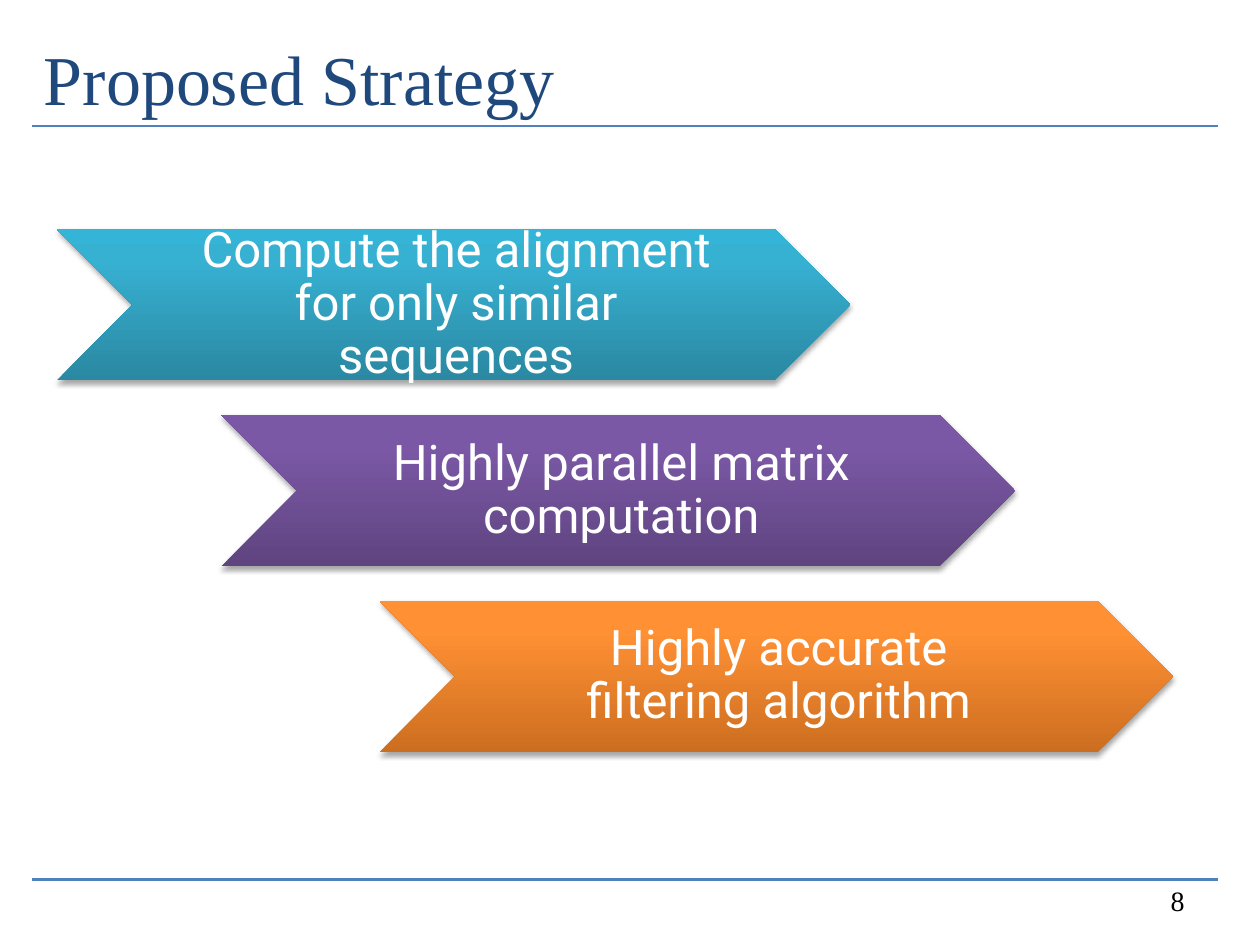
from copy import deepcopy

from pptx import Presentation
from pptx.dml.color import RGBColor
from pptx.enum.shapes import MSO_CONNECTOR, MSO_SHAPE
from pptx.enum.text import MSO_ANCHOR, PP_ALIGN
from pptx.oxml import parse_xml
from pptx.oxml.ns import nsdecls, qn
from pptx.util import Pt

LINE = MSO_CONNECTOR.STRAIGHT
ARROW = MSO_SHAPE.CHEVRON
TOP, MID, LOW = MSO_ANCHOR.TOP, MSO_ANCHOR.MIDDLE, MSO_ANCHOR.BOTTOM
LEFT, CENTER, RIGHT = PP_ALIGN.LEFT, PP_ALIGN.CENTER, PP_ALIGN.RIGHT

SERIF, SANS = "Times New Roman", "Roboto"
HIGH, WIDE, FIRST, STEP = 86.4, 453.6, 131, 106.2
INSET = (2.9, 1.4, 0, 1.4)

# Arrow left, text left, text width, stops from bottom to top, words
STEPS = [
    (32.4, 95, 328.3, ("2A88A2", "37B1D2", "34B4D6"),
     "Compute the alignment for only similar sequences"),
    (126.5, 196.6, 313.9, ("5F4480", "7B58A6", "7C57A8"),
     "Highly parallel matrix computation"),
    (216.9, 307.4, 272.2, ("CC6E20", "FF9034", "FF9136"),
     "Highly accurate filtering algorithm"),
]

SHADE = (
    f'<a:outerShdw {nsdecls("a")} blurRad="{Pt(3.1)}" dist="{Pt(1.8)}" '
    'dir="5400000" rotWithShape="0"><a:srgbClr val="000000">'
    '<a:alpha val="35000"/></a:srgbClr></a:outerShdw>'
)


def color(code):
    return RGBColor.from_string(code)


def assign(item, values):
    for name, value in values.items():
        setattr(item, name, value)


def add_text(shapes, box, words, font, size, code, align, anchor,
             inset=(7.2, 3.6, 7.2, 3.6), space=1.0):
    frame = shapes.add_textbox(*map(Pt, box)).text_frame
    sides = ("margin_left", "margin_top", "margin_right", "margin_bottom")
    assign(frame, dict(zip(sides, map(Pt, inset))))
    assign(frame, {"word_wrap": True, "vertical_anchor": anchor})
    para = frame.paragraphs[0]
    assign(para, {"alignment": align, "line_spacing": space})
    run = para.add_run()
    run.text = words
    assign(run.font, {"name": font, "size": Pt(size)})
    run.font.color.rgb = color(code)


def add_rule(shapes, y):
    rule = shapes.add_connector(LINE, Pt(18), Pt(y), Pt(696.2), Pt(y))
    rule.line.width = Pt(1.5)
    rule.line.color.rgb = color("4F81BD")
    props = rule._element.spPr
    props.append(parse_xml(f'<a:effectLst {nsdecls("a")}/>'))


def add_arrow(shapes, x, y, codes):
    arrow = shapes.add_shape(ARROW, Pt(x), Pt(y), Pt(WIDE), Pt(HIGH))
    arrow.line.fill.background()

    # Three-stop gradient that runs upward
    fill = arrow.fill
    fill.gradient()
    fill.gradient_angle = 90
    stops = arrow._element.spPr.find(".//" + qn("a:gsLst"))
    stops.insert(1, deepcopy(stops[0]))
    for stop, place, code in zip(fill.gradient_stops, (0, 0.8, 1), codes):
        stop.position = place
        stop.color.rgb = color(code)

    # Soft shadow below
    arrow.shadow.inherit = False
    arrow._element.spPr.find(qn("a:effectLst")).append(parse_xml(SHADE))


def add_step(slide, row, x, text_x, text_w, codes, words):
    shapes = slide.shapes.add_group_shape().shapes
    y = FIRST + row * STEP
    add_arrow(shapes, x, y, codes)
    add_text(shapes, (text_x, y, text_w, HIGH), words, SANS, 28, "FFFFFF",
             CENTER, MID, INSET, 0.9)


def main():
    deck = Presentation()
    assign(deck, {"slide_width": Pt(720), "slide_height": Pt(540)})
    slide = deck.slides.add_slide(deck.slide_layouts[6])
    shapes = slide.shapes

    # Rules, title and page number
    for y in (502.6, 72):
        add_rule(shapes, y)
    add_text(shapes, (18, 12.2, 678.2, 84.2), "Proposed Strategy", SERIF, 40,
             "1F497D", LEFT, TOP, (7.2, 8, 7.2, 3.6))
    add_text(shapes, (516.2, 491.8, 167.8, 36), "8", SERIF, 16, "000000",
             RIGHT, LOW)

    # Stepped arrows
    for row, step in enumerate(STEPS):
        add_step(slide, row, *step)

    deck.save("out.pptx")


if __name__ == "__main__":
    main()
